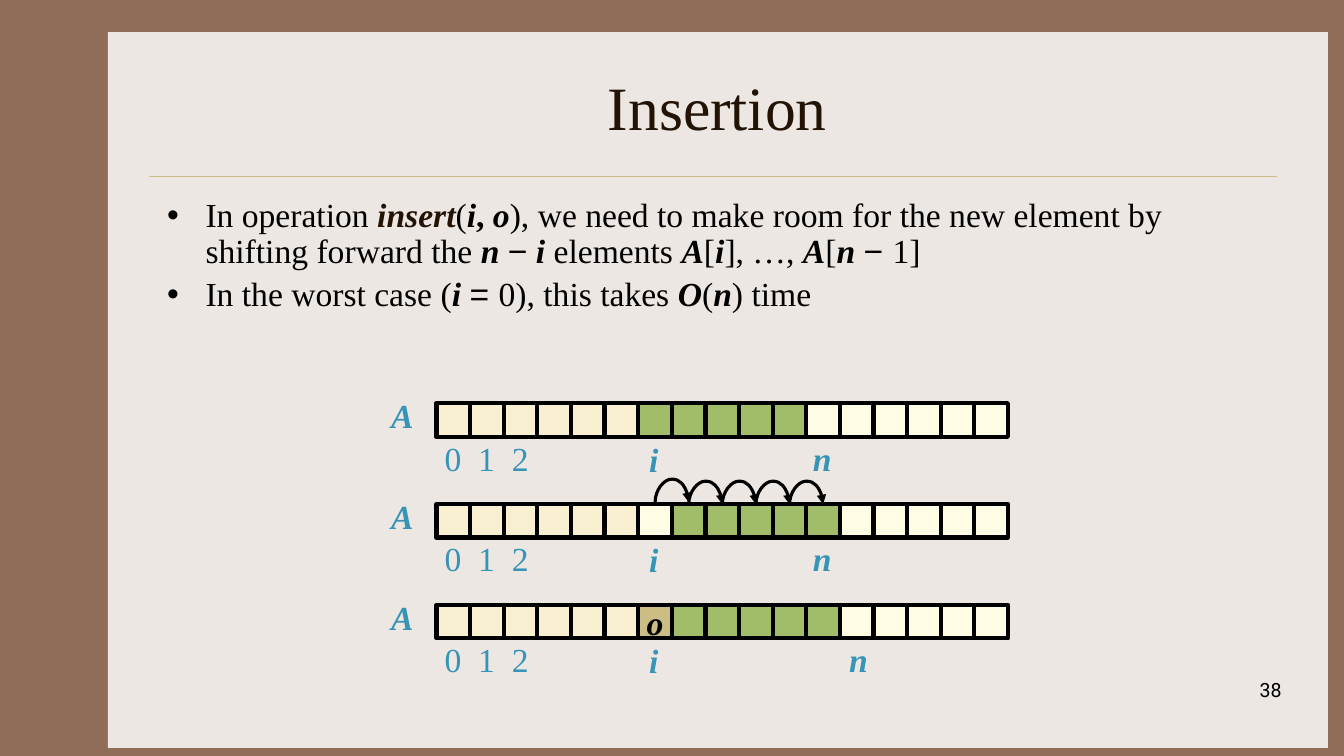
from lxml import etree
from pptx import Presentation
from pptx.dml.color import RGBColor
from pptx.enum import shapes, text
from pptx.oxml import ns
from pptx.util import Inches, Pt

FRAME_BROWN = RGBColor(0x90, 0x6D, 0x58)
PAPER = RGBColor(0xED, 0xE7, 0xE3)
SAND = RGBColor(0xCB, 0xBD, 0x83)
DARK_BROWN = RGBColor(0x22, 0x13, 0x04)
BLACK = RGBColor(0, 0, 0)
BLUE = RGBColor(0x36, 0x94, 0xB6)
CREAM = RGBColor(0xF8, 0xF0, 0xD0)
GREEN = RGBColor(0xA1, 0xBD, 0x69)
IVORY = RGBColor(0xFE, 0xFD, 0xE3)

SERIF = "Times New Roman"
CENTER = text.PP_ALIGN.CENTER
CELL = Inches(1) / 3
INSERT_RANK = 6

PLAIN = {}
VAR = {"bold": True, "italic": True}
BOLD = {"bold": True}
SIGN = {"font": "Arial"}
METHOD = {"bold": True, "italic": True, "color": DARK_BROWN}

POINTS = [
    [("In operation ", PLAIN), ("insert", METHOD), ("(", PLAIN), ("i", VAR),
     (",", BOLD), (" o", VAR),
     ("), we need to make room for the new element by shifting forward the ", PLAIN),
     ("n ", VAR), ("−", SIGN), (" i", VAR), (" elements ", PLAIN),
     ("A", VAR), ("[", PLAIN), ("i", VAR), ("], …, ", PLAIN),
     ("A", VAR), ("[", PLAIN), ("n ", VAR), ("− ", SIGN), ("1]", PLAIN)],
    [("In the worst case (", PLAIN), ("i ", VAR), ("= ", SIGN),
     ("0), this takes ", PLAIN), ("O", VAR), ("(", PLAIN), ("n", VAR),
     (") time", PLAIN)],
]

ARRAYS = [
    (4, [CREAM] * 6 + [GREEN] * 5 + [IVORY] * 6, 8),
    (5, [CREAM] * 6 + [IVORY] + [GREEN] * 5 + [IVORY] * 5, 8),
    (6, [CREAM] * 6 + [SAND] + [GREEN] * 5 + [IVORY] * 5, 8.36),
]


def add_run(paragraph, words, size=24, font=SERIF, color=BLACK, bold=False, italic=False):
    run = paragraph.add_run()
    run.text = words
    run.font.size = Pt(size)
    run.font.name = font
    run.font.color.rgb = color
    run.font.bold = bold
    run.font.italic = italic


def add_text(slide, box, words, align=None, anchor=text.MSO_ANCHOR.TOP,
             inset=True, wrap=True, **style):
    frame = slide.shapes.add_textbox(*box).text_frame
    frame.word_wrap = wrap
    frame.vertical_anchor = anchor
    if not inset:
        frame.margin_left = frame.margin_right = 0
        frame.margin_top = frame.margin_bottom = 0
    paragraph = frame.paragraphs[0]
    paragraph.alignment = align
    if words:
        add_run(paragraph, words, **style)
    return frame


def inches(*lengths):
    return [Inches(length) for length in lengths]


def add_block(slide, box, fill, line=None):
    block = slide.shapes.add_shape(shapes.MSO_SHAPE.RECTANGLE, *box)
    block.shadow.inherit = False
    block.fill.solid()
    block.fill.fore_color.rgb = fill
    if line is None:
        block.line.fill.background()
    else:
        block.line.color.rgb = line
        block.line.width = Pt(3)
    return block


def add_line(slide, kind, ends, color, width):
    line = slide.shapes.add_connector(kind, *ends)
    line.line.color.rgb = color
    line.line.width = Pt(width)
    etree.SubElement(line._element.spPr, ns.qn("a:effectLst"))
    return line


def draw_frame(slide, left, top, width, height):
    slide.background.fill.solid()
    slide.background.fill.fore_color.rgb = FRAME_BROWN
    add_block(slide, (left, top, width, height), PAPER)
    rule_y = top + Inches(1.43)
    add_line(slide, shapes.MSO_CONNECTOR.STRAIGHT,
             (left + Inches(0.41), rule_y, left + width - Inches(0.5), rule_y), SAND, 0.25)


def draw_points(slide, box):
    frame = add_text(slide, box, "")
    for index, runs in enumerate(POINTS):
        paragraph = frame.add_paragraph() if index else frame.paragraphs[0]
        paragraph.line_spacing = 0.9
        if index:
            paragraph.space_before = Pt(4.8)
        properties = paragraph._p.get_or_add_pPr()
        properties.set("marL", str(Inches(0.38)))
        properties.set("indent", str(-Inches(0.38)))
        bullet_font = etree.SubElement(properties, ns.qn("a:buFont"))
        bullet_font.set("typeface", "Arial")
        etree.SubElement(properties, ns.qn("a:buChar")).set("char", "•")
        for words, style in runs:
            add_run(paragraph, words, **style)


def draw_array(slide, left, top, fills, n_left):
    def label(words, label_left, label_top, width=0.31):
        add_text(slide, (label_left, label_top, *inches(width, 0.4)), words,
                 align=CENTER, inset=False, color=BLUE, **VAR)

    label("A", left - Inches(0.5), top - Inches(0.08), 0.32)
    for rank in range(3):
        add_text(slide, (int(left + Inches(0.08) + rank * CELL), top + Inches(0.34),
                         *inches(0.17, 0.4)),
                 str(rank), inset=False, wrap=False, color=BLUE)
    label("n", n_left, top + Inches(0.34))
    cells = [add_block(slide, (int(left + rank * CELL), top, int(CELL), int(CELL)), fill, BLACK)
             for rank, fill in enumerate(fills)]
    label("i", int(left + INSERT_RANK * CELL), top + Inches(0.35))
    return cells


def draw_shift_arrow(slide, center, base):
    thickness = Inches(0.002)
    half = int(CELL / 2)
    arrow = add_line(slide, shapes.MSO_CONNECTOR.CURVE,
                     (center, base + half, center + thickness, base - half), BLACK, 2.25)
    properties = arrow._element.spPr
    properties.find(ns.qn("a:xfrm")).set("rot", "5400000")
    adjustments = properties.find(ns.qn("a:prstGeom")).find(ns.qn("a:avLst"))
    bend = etree.SubElement(adjustments, ns.qn("a:gd"))
    bend.set("name", "adj1")
    bend.set("fmla", "val -11500000")
    head = etree.SubElement(properties.find(ns.qn("a:ln")), ns.qn("a:tailEnd"))
    head.set("type", "triangle")


def draw_diagram(slide, left):
    arrays = [draw_array(slide, left, Inches(top), fills, Inches(n_left))
              for top, fills, n_left in ARRAYS]
    inserted = arrays[2][INSERT_RANK].text_frame
    inserted.word_wrap = False
    inserted.vertical_anchor = text.MSO_ANCHOR.MIDDLE
    inserted.paragraphs[0].alignment = CENTER
    add_run(inserted.paragraphs[0], "o", **VAR)
    for step in range(5):
        rise = 0 if step else Inches(0.02)
        draw_shift_arrow(slide, int(left + (INSERT_RANK + 1 + step) * CELL), Inches(5) - rise)


def main():
    deck = Presentation()
    deck.slide_width, deck.slide_height = inches(13.33, 7.5)
    slide = deck.slides.add_slide(deck.slide_layouts[6])
    draw_frame(slide, *inches(1.07, 0.32, 12.1, 7.1))
    add_text(slide, inches(1.56, 0.42, 11.11, 1.25), "Insertion", align=CENTER,
             anchor=text.MSO_ANCHOR.MIDDLE, size=44, color=DARK_BROWN)
    draw_points(slide, inches(1.56, 1.92, 11.11, 4.5))
    add_text(slide, inches(10.03, 6.68, 2.78, 0.5), "38",
             align=text.PP_ALIGN.RIGHT, size=14, font="Roboto")
    draw_diagram(slide, Inches(4.33))
    deck.save("out.pptx")


if __name__ == "__main__":
    main()
